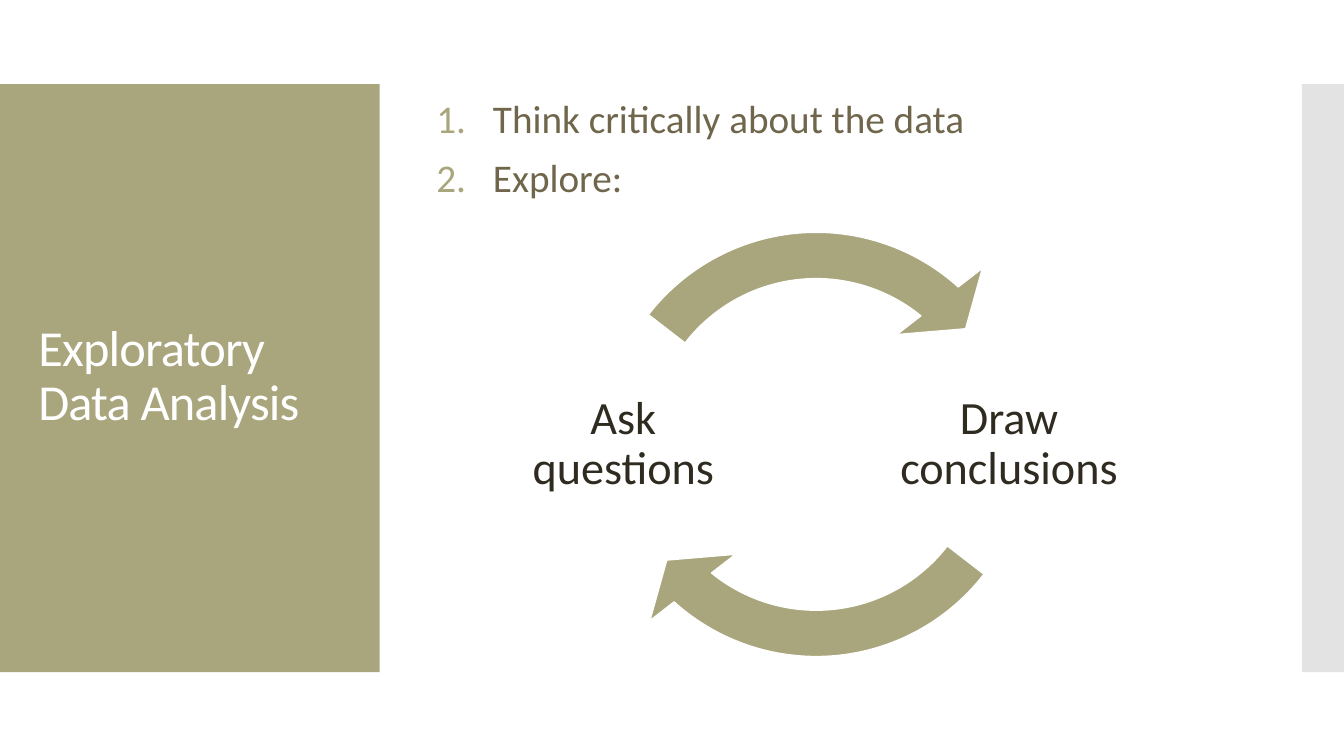
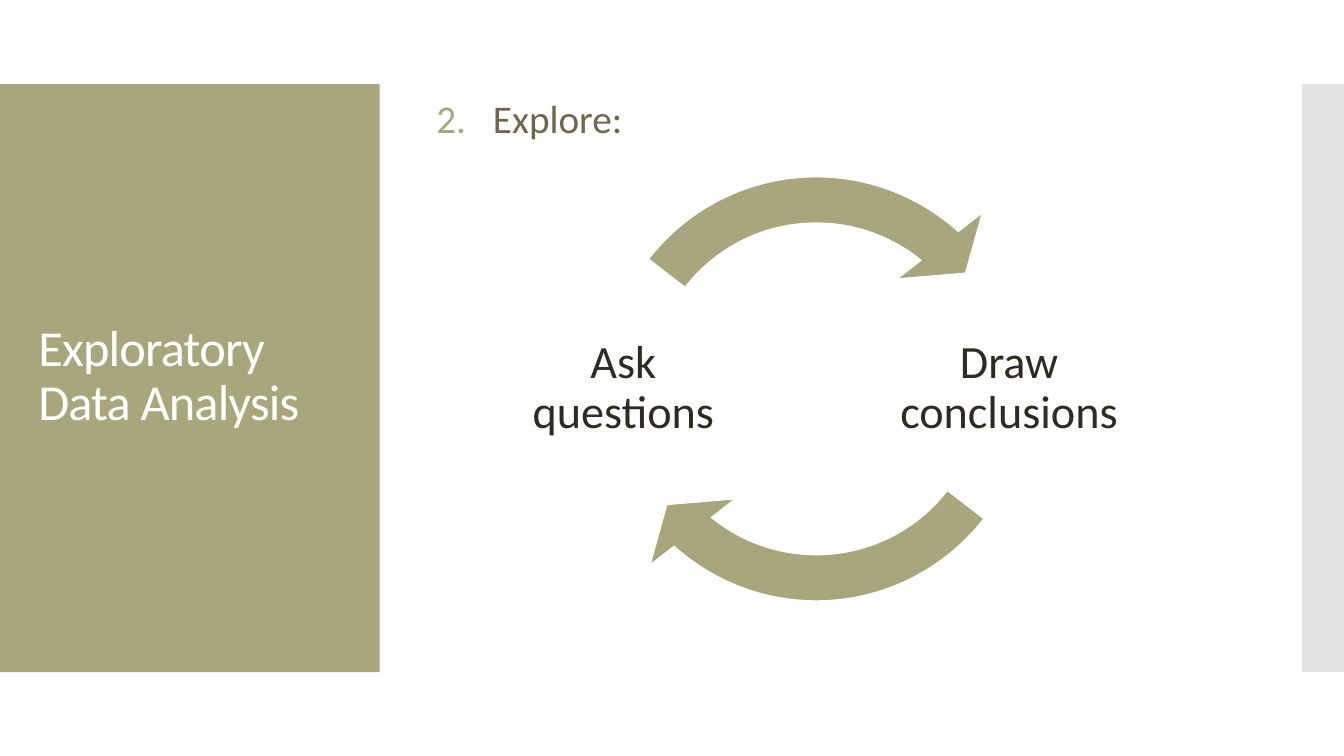
from collections import namedtuple

from lxml import etree
from pptx import Presentation
from pptx import util as u
from pptx.dml.color import RGBColor
from pptx.enum import shapes, text
from pptx.oxml.ns import qn

COLORS = {
    "olive": "A9A57C",
    "gray": "C8C8C8",
    "white": "FFFFFF",
    "brown": "6F664C",
    "ink": "2F2B20",
}
FONT = "Calibri"
HALF_TURN = 108

Box = namedtuple("Box", "left top width height")
PANEL = Box(0, 2.12, 9.57, 14.82)
EDGE = Box(32.81, 2.12, 1.06, 14.82)
TITLE = Box(0.71, 3.12, 8.18, 12.78)
BODY = Box(10.74, 2.39, 20.32, 14.22)


def rgb(name):
    return RGBColor.from_string(COLORS[name])


def lengths(box):
    return [u.Cm(value) for value in box]


def place(shape, box):
    shape.left, shape.top, shape.width, shape.height = lengths(box)


def write(paragraph, words, size, color, align=text.PP_ALIGN.LEFT, before=0, tracking=None):
    paragraph.alignment = align
    paragraph.line_spacing = 0.9
    paragraph.space_before = u.Pt(before)
    run = paragraph.add_run()
    run.text = words
    run.font.name = FONT
    run.font.size = u.Pt(size)
    run.font.color.rgb = rgb(color)
    if tracking is not None:
        run.font._element.set("spc", str(round(tracking * 100)))


def number(paragraph, start):
    indent = u.Cm(1.43)
    properties = paragraph._p.get_or_add_pPr()
    properties.set("marL", str(indent))
    properties.set("indent", str(-indent))
    bullet_color = etree.SubElement(properties, qn("a:buClr"))
    etree.SubElement(bullet_color, qn("a:srgbClr"), val=COLORS["olive"])
    etree.SubElement(properties, qn("a:buFont"), typeface=FONT)
    etree.SubElement(properties, qn("a:buAutoNum"), type="arabicPeriod", startAt=str(start))


def add_filled(container, kind, box, color):
    shape = container.add_shape(kind, *lengths(box))
    shape.shadow.inherit = False
    shape.fill.solid()
    shape.fill.fore_color.rgb = rgb(color)
    shape.line.fill.background()
    return shape


def set_up_layout(layout, slide):
    for placeholder, box in zip(layout.placeholders, (TITLE, BODY)):
        place(placeholder, box)
    panel = add_filled(slide.shapes, shapes.MSO_SHAPE.RECTANGLE, PANEL, "olive")
    edge = add_filled(slide.shapes, shapes.MSO_SHAPE.RECTANGLE, EDGE, "gray")
    edge_color = edge.element.spPr.find(".//" + qn("a:srgbClr"))
    etree.SubElement(edge_color, qn("a:alpha"), val="50000")
    for position, band in enumerate((panel, edge)):
        band.element.nvSpPr.cNvPr.set("id", str(20 + position))
        layout.shapes.element.insert(2 + position, band.element)


def fill_title(slide, words):
    frame = slide.shapes.title.text_frame
    frame.auto_size = text.MSO_AUTO_SIZE.NONE
    frame.vertical_anchor = text.MSO_ANCHOR.MIDDLE
    write(frame.paragraphs[0], words, 36, "white", tracking=-0.6)


def fill_steps(slide, steps, start):
    frame = slide.placeholders[1].text_frame
    frame.auto_size = text.MSO_AUTO_SIZE.NONE
    for index, step in enumerate(steps):
        paragraph = frame.add_paragraph() if index else frame.paragraphs[0]
        write(paragraph, step, 28, "brown", before=12)
        number(paragraph, start)


def add_label(container, box, words):
    label = container.add_textbox(*lengths(box))
    frame = label.text_frame
    frame.word_wrap = True
    frame.vertical_anchor = text.MSO_ANCHOR.MIDDLE
    frame.margin_left = frame.margin_right = u.Cm(0.12)
    frame.margin_top = frame.margin_bottom = u.Cm(0.12)
    write(frame.paragraphs[0], words, 33, "ink", align=text.PP_ALIGN.CENTER)


def add_cycle(slide, box, labels):
    cycle = slide.shapes.add_group_shape().shapes
    side, reach = 5.94, 4.86
    middle_x = box.left + box.width / 2
    middle_y = box.top + box.height / 2
    for index, words in enumerate(labels):
        center = middle_x + reach * (2 * index - 1)
        add_label(cycle, Box(center - side / 2, middle_y - side / 2, side, side), words)
        arrow = add_filled(cycle, shapes.MSO_SHAPE.CIRCULAR_ARROW, box, "olive")
        arrow.line.color.rgb = rgb("white")
        arrow.line.width = u.Pt(0.85)
        turn = HALF_TURN * (1 - index)
        for position, value in enumerate((0.095, 6.85, 78.49 + turn, 22.65 + turn, 0.111)):
            arrow.adjustments[position] = value


def add_analysis_slide(slide, steps, start, cycle_top):
    fill_title(slide, "Exploratory Data Analysis")
    fill_steps(slide, steps, start)
    add_cycle(slide, Box(14.45, cycle_top, 12.24, 12.24), ("Ask questions", "Draw conclusions"))


presentation = Presentation()
presentation.slide_width = u.Cm(33.87)
presentation.slide_height = u.Cm(19.05)
layout = presentation.slide_layouts[1]
steps = ["Think critically about the data", "Explore:"]
for first, cycle_top in enumerate((5.08, 3.68)):
    slide = presentation.slides.add_slide(layout)
    if first == 0:
        set_up_layout(layout, slide)
    add_analysis_slide(slide, steps[first:], first + 1, cycle_top)
presentation.save("out.pptx")
